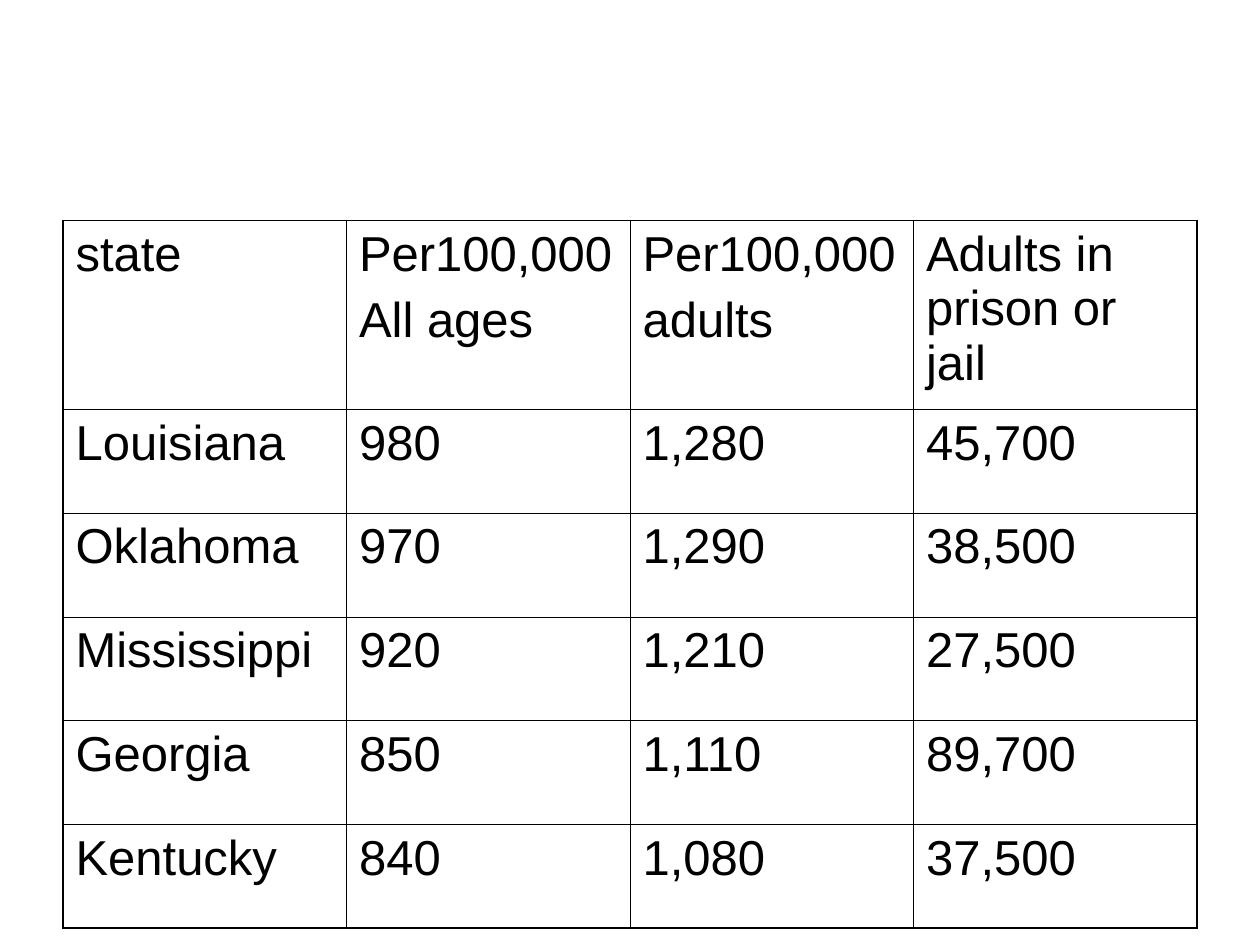
from lxml.etree import SubElement
from pptx import Presentation
from pptx.dml.color import RGBColor
from pptx.oxml.ns import qn
from pptx.util import Pt

COLORS = {"ink": "000000"}
OUTER, INNER = Pt(1.08), Pt(0.45)
HEADER_HEIGHT, STATE_HEIGHT = Pt(108), Pt(59.3)
COLUMN_WIDTH = Pt(162)

incarceration = [
    ["state", "Per100,000\nAll ages", "Per100,000\nadults", "Adults in prison or jail"],
    ["Louisiana", "980", "1,280", "45,700"],
    ["Oklahoma", "970", "1,290", "38,500"],
    ["Mississippi", "920", "1,210", "27,500"],
    ["Georgia", "850", "1,110", "89,700"],
    ["Kentucky", "840", "1,080", "37,500"],
]
row_count, column_count = len(incarceration), len(incarceration[0])


def add_border(cell, edge, width):
    border = SubElement(cell._tc.get_or_add_tcPr(), qn(f"a:{edge}"), w=str(width))
    solid = SubElement(border, qn("a:solidFill"))
    SubElement(solid, qn("a:srgbClr"), val=COLORS["ink"])


presentation = Presentation()
presentation.slide_width, presentation.slide_height = Pt(720), Pt(540)
slide = presentation.slides.add_slide(presentation.slide_layouts[6])

states = slide.shapes.add_table(
    row_count, column_count, Pt(36), Pt(126),
    COLUMN_WIDTH * column_count, HEADER_HEIGHT + STATE_HEIGHT * (row_count - 1),
).table
states.first_row = False
states.horz_banding = False

for column in states.columns:
    column.width = COLUMN_WIDTH

for r, values in enumerate(incarceration):
    states.rows[r].height = STATE_HEIGHT if r else HEADER_HEIGHT
    for c, value in enumerate(values):
        cell = states.cell(r, c)
        cell.margin_left = cell.margin_right = Pt(7.2)
        cell.margin_top = cell.margin_bottom = Pt(3.6)
        add_border(cell, "lnL", OUTER if c == 0 else INNER)
        add_border(cell, "lnR", OUTER if c == column_count - 1 else INNER)
        add_border(cell, "lnT", OUTER if r == 0 else INNER)
        add_border(cell, "lnB", OUTER if r == row_count - 1 else INNER)
        cell.fill.background()
        cell.text_frame.text = value
        for line, paragraph in enumerate(cell.text_frame.paragraphs):
            if line:
                paragraph.space_before = Pt(7)
            for run in paragraph.runs:
                run.font.name = "Arial"
                run.font.size = Pt(28)
                run.font.color.rgb = RGBColor.from_string(COLORS["ink"])

presentation.save("out.pptx")
